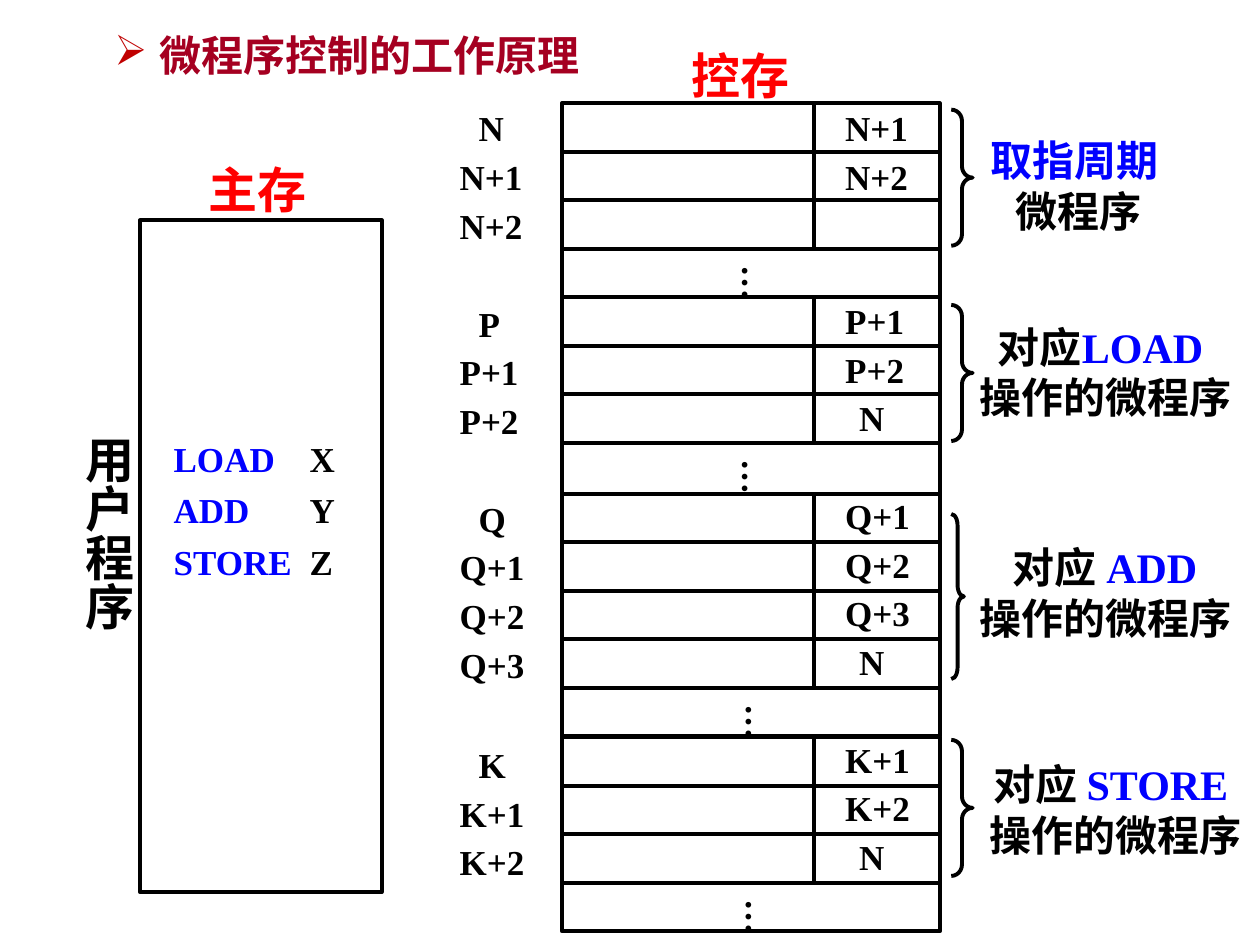
from lxml import etree
from pptx import Presentation
from pptx.dml.color import RGBColor
from pptx.enum.shapes import MSO_CONNECTOR, MSO_SHAPE
from pptx.enum.text import MSO_AUTO_SIZE, PP_ALIGN
from pptx.oxml.ns import qn
from pptx.util import Inches, Pt

RECT, BRACE = MSO_SHAPE.RECTANGLE, MSO_SHAPE.RIGHT_BRACE
LINE = MSO_CONNECTOR.STRAIGHT
FIT = MSO_AUTO_SIZE.SHAPE_TO_FIT_TEXT
LEFT, MID = PP_ALIGN.LEFT, PP_ALIGN.CENTER
BLACK = RGBColor(0, 0, 0)
BLUE = RGBColor(0, 0, 255)
RED = RGBColor(255, 0, 0)
WINE = RGBColor(0xA5, 0x00, 0x21)
FONT = {"name": "Times New Roman", "bold": True}
ROW = 0.385

BLOCKS = [
    {"row": 0, "tags": ["N", "N+1", "N+2"], "next": ["N+1", "N+2"],
     "lift": (-0.02, -0.02), "dots": 1.22, "closed": False,
     "brace": (0.05, 0.17, 1.08), "note": (3.29, 0.2, 1.55),
     "text": [[("取指周期", BLUE)], [(" 微程序", BLACK)]]},
    {"row": 4, "tags": ["P", "P+1", "P+2"], "next": ["P+1", "P+2", "N"],
     "lift": (-0.01, -0.03), "dots": 1.22, "closed": False,
     "brace": (0.06, 0.17, 1.08), "note": (3.12, 0.14, 2.31),
     "text": [[("对应", BLACK), ("LOAD", BLUE)], [(" 操作的微程序", BLACK)]]},
    {"row": 8.05, "tags": ["Q", "Q+1", "Q+2", "Q+3"],
     "next": ["Q+1", "Q+2", "Q+3", "N"],
     "lift": (-0.02, -0.04), "dots": 1.25, "closed": True,
     "brace": (0.16, 0.1, 1.31), "note": (3.2, 0.33, 2.22),
     "text": [[("对应 ", BLACK), ("ADD", BLUE)], [("操作的微程序", BLACK)]]},
    {"row": 13.07, "tags": ["K", "K+1", "K+2"], "next": ["K+1", "K+2", "N"],
     "lift": (0, -0.04), "dots": 1.25, "closed": True,
     "brace": (0.02, 0.17, 1.08), "note": (3.2, 0.12, 2.31),
     "text": [[("对应 ", BLACK), ("STORE", BLUE)], [(" 操作的微程序", BLACK)]]},
]


def apply(item, values):
    for key, value in values.items():
        setattr(item, key, value)


def text(slide, box, lines, size=20, align=LEFT, wrap=False, turn=False):
    shape = slide.shapes.add_textbox(*map(Inches, box))
    frame = shape.text_frame
    apply(frame, {"word_wrap": wrap, "auto_size": FIT})
    if turn:
        next(shape.element.iter(qn("a:bodyPr"))).set("vert", "eaVert")
    for i, line in enumerate(lines):
        para = frame.add_paragraph() if i else frame.paragraphs[0]
        para.alignment = align
        for words, color in line:
            run = para.add_run()
            run.text = words
            apply(run.font, {**FONT, "size": Pt(size)})
            run.font.color.rgb = color
    return frame.paragraphs[0]


def ink(shape):
    shape.line.color.rgb = BLACK
    shape.line.width = Pt(2.25)


def outline(slide, kind, box):
    shape = slide.shapes.add_shape(kind, *map(Inches, box))
    shape.fill.background()
    shape.shadow.inherit = False
    ink(shape)
    return shape


def rule(slide, *ends):
    line = slide.shapes.add_connector(LINE, *map(Inches, ends))
    etree.SubElement(line.element.spPr, qn("a:effectLst"))
    ink(line)


def title(slide, box):
    para = text(slide, box, [[("微程序控制的工作原理", WINE)]], 24, wrap=True)
    para.line_spacing = 0.87
    para.runs[0].font.name = "Arial"
    props = para.runs[0].font.element.getparent().getparent().get_or_add_pPr() \
        if hasattr(para.runs[0].font, "element") else para._p.get_or_add_pPr()
    props.set("marL", str(Inches(0.36)))
    props.set("indent", str(-Inches(0.36)))
    color = etree.SubElement(props, qn("a:buClr"))
    etree.SubElement(color, qn("a:srgbClr"), val="C00000")
    etree.SubElement(props, qn("a:buChar"), char="➢")


def memory(slide, box):
    x, y, w, h = box
    outline(slide, RECT, box)
    text(slide, (x + 0.45, y - 0.53, 0.99, 0.57), [[("主存", RED)]], 28)
    text(slide, (x - 0.64, y + 1.61, 0.67, 1.7), [[("用户程序", BLACK)]], 28,
         turn=True)
    for i, (verb, name) in enumerate([("LOAD", "X"), ("ADD", "Y"), ("STORE", "Z")]):
        para = text(slide, (x + 0.17, y + 1.67 + 0.41 * i, 1.5, 0.44),
                    [[(verb, BLUE), ("\t" + name, BLACK)]])
        tabs = etree.SubElement(para._p.get_or_add_pPr(), qn("a:tabLst"))
        etree.SubElement(tabs, qn("a:tab"), pos=str(Inches(1.08)), algn="l")


def block(slide, x, y, w, data):
    count = len(data["tags"])
    end = y + count * ROW
    up, down = data["lift"]
    for i, tag in enumerate(data["tags"]):
        top = y + i * ROW
        outline(slide, RECT, (x, top, w, ROW))
        text(slide, (x - (0.91 if i else 0.76), top + up, 0.73, 0.44),
             [[(tag, BLACK)]])
    for i, tag in enumerate(data["next"]):
        shift = 2.26 if tag == "N" else 2.15
        text(slide, (x + shift, y + i * ROW + down, 0.73, 0.44), [[(tag, BLACK)]])
    rule(slide, x + w * 2 / 3, y, x + w * 2 / 3, end)
    text(slide, (x + data["dots"], end + 0.03, 0.54, 0.38), [[("…", BLACK)]],
         turn=True)
    if data["closed"]:
        outline(slide, RECT, (x, end, w, ROW))
    else:
        for side in (x, x + w):
            rule(slide, side, end, side, end + ROW + 0.02)
    drop, wide, high = data["brace"]
    brace = outline(slide, BRACE, (x + w + 0.09, y + drop, wide, high))
    brace.adjustments[0] = 0.09 / wide
    left, drop, wide = data["note"]
    text(slide, (x + left, y + drop, wide, 0.91), data["text"], 24, MID)


def store(slide, box):
    x, y, w = box
    text(slide, (x + 0.93, y - 0.51, 0.99, 0.57), [[("控存", RED)]], 28)
    for data in BLOCKS:
        block(slide, x, y + data["row"] * ROW, w, data)


def main():
    deck = Presentation()
    apply(deck, {"slide_width": Inches(10), "slide_height": Inches(7.5)})
    slide = deck.slides.add_slide(deck.slide_layouts[6])
    memory(slide, (1.11, 1.75, 1.92, 5.33))
    title(slide, (0.81, 0.24, 8, 0.45))
    store(slide, (4.46, 0.82, 3))
    deck.save("out.pptx")


if __name__ == "__main__":
    main()
